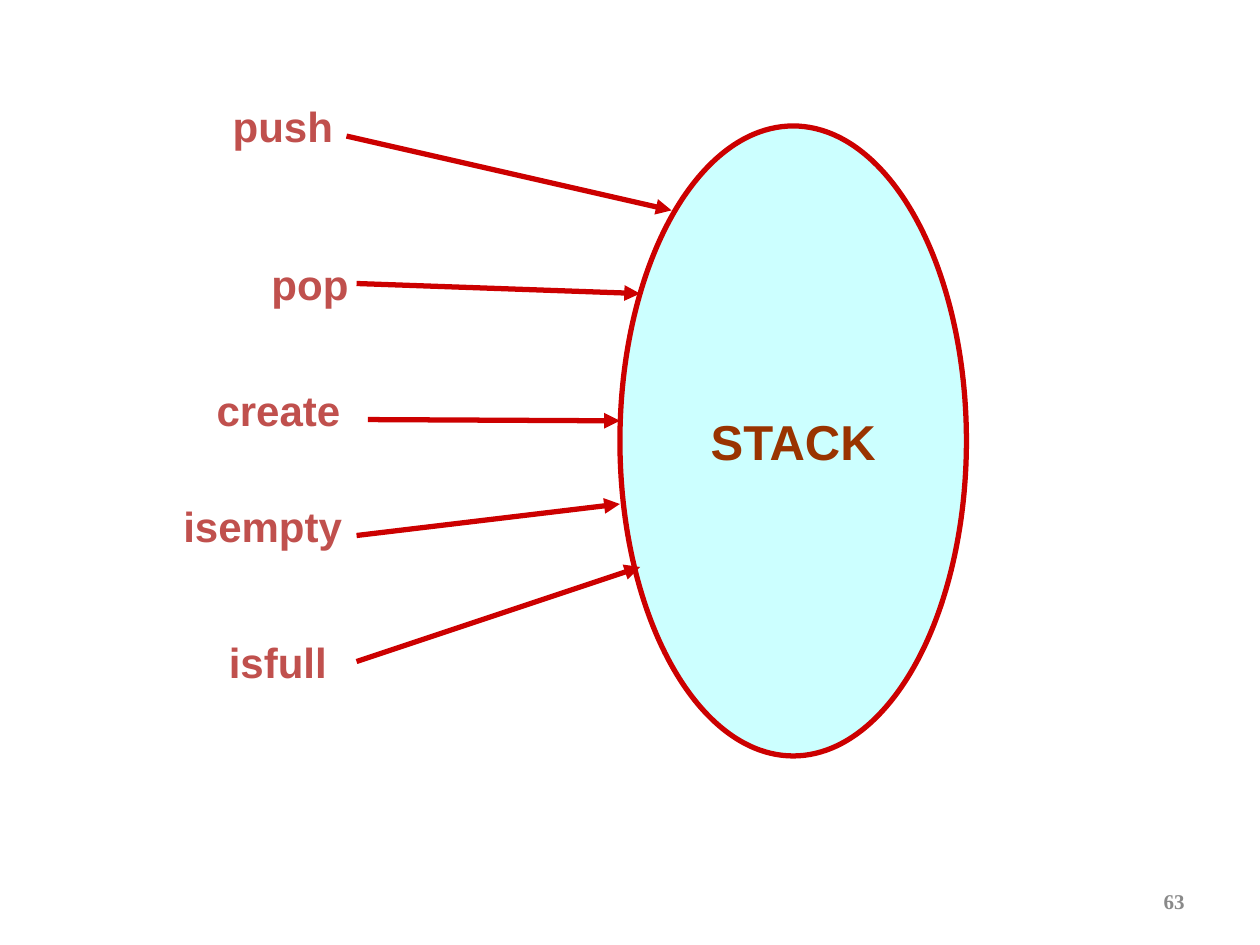
"""Build a slide showing the operations that act on a stack."""
from dataclasses import dataclass

from lxml.etree import SubElement
from pptx import Presentation
from pptx.dml.color import RGBColor
from pptx.enum.shapes import MSO_CONNECTOR, MSO_SHAPE
from pptx.enum.text import MSO_ANCHOR, PP_ALIGN
from pptx.oxml.ns import qn
from pptx.util import Inches, Pt

RED = "CC0000"
LABEL_FONT = {"name": "Arial", "size": Pt(24), "bold": True}
STACK_FONT = {"name": "Arial", "size": Pt(28), "bold": True}
NUMBER_FONT = {"name": "Times New Roman", "size": Pt(12), "bold": True}


@dataclass
class Operation:
    name: str
    left: float
    top: float
    width: float
    start: tuple[float, float]
    end: tuple[float, float]


OPERATIONS = [
    Operation("push", 1.58, 0.75, 1.33, (2.75, 1.08), (5.33, 1.67)),
    Operation("pop", 1.67, 2, 1.58, (2.83, 2.25), (5.08, 2.33)),
    Operation("create", 1.5, 3, 1.42, (2.92, 3.33), (4.92, 3.34)),
    Operation("isempty", 1.25, 3.92, 1.67, (2.83, 4.25), (4.92, 4)),
    Operation("isfull", 1.58, 5, 1.25, (2.83, 5.25), (5.08, 4.5)),
]


def rgb(value: str) -> RGBColor:
    return RGBColor.from_string(value)


def write(sp, text: str, font: dict, color: str, align=PP_ALIGN.CENTER,
          anchor=MSO_ANCHOR.MIDDLE, wrap: bool = True) -> None:
    tf = sp.text_frame
    tf.word_wrap = wrap
    tf.vertical_anchor = anchor
    p = tf.paragraphs[0]
    p.alignment = align
    r = p.add_run()
    r.text = text
    for key, value in font.items():
        setattr(r.font, key, value)
    r.font.color.rgb = rgb(color)


def outline(sp) -> None:
    sp.line.color.rgb = rgb(RED)
    sp.line.width = Pt(3)


def add_stack(s) -> None:
    sp = s.shapes.add_shape(MSO_SHAPE.OVAL, Inches(4.92), Inches(1), Inches(2.75), Inches(5))
    sp.shadow.inherit = False
    sp.fill.solid()
    sp.fill.fore_color.rgb = rgb("CCFFFF")
    outline(sp)
    write(sp, "STACK", STACK_FONT, "993300", wrap=False)


def add_arrow(s, op: Operation) -> None:
    ends = [Inches(v) for v in (*op.start, *op.end)]
    sp = s.shapes.add_connector(MSO_CONNECTOR.STRAIGHT, *ends)
    outline(sp)
    SubElement(sp.line._get_or_add_ln(), qn("a:tailEnd"), type="triangle")
    SubElement(sp._element.spPr, qn("a:effectLst"))


def add_label(s, op: Operation) -> None:
    box = [Inches(v) for v in (op.left, op.top, op.width, 0.5)]
    write(s.shapes.add_textbox(*box), op.name, LABEL_FONT, "C0504D", anchor=MSO_ANCHOR.TOP)


def main() -> None:
    prs = Presentation()
    prs.slide_width, prs.slide_height = Inches(10), Inches(7.5)
    s = prs.slides.add_slide(prs.slide_layouts[6])
    number = s.shapes.add_textbox(Inches(7.17), Inches(6.95), Inches(2.33), Inches(0.4))
    write(number, "63", NUMBER_FONT, "898989", align=PP_ALIGN.RIGHT)
    add_stack(s)
    for op in OPERATIONS:
        add_arrow(s, op)
        add_label(s, op)
    prs.save("out.pptx")


if __name__ == "__main__":
    main()
